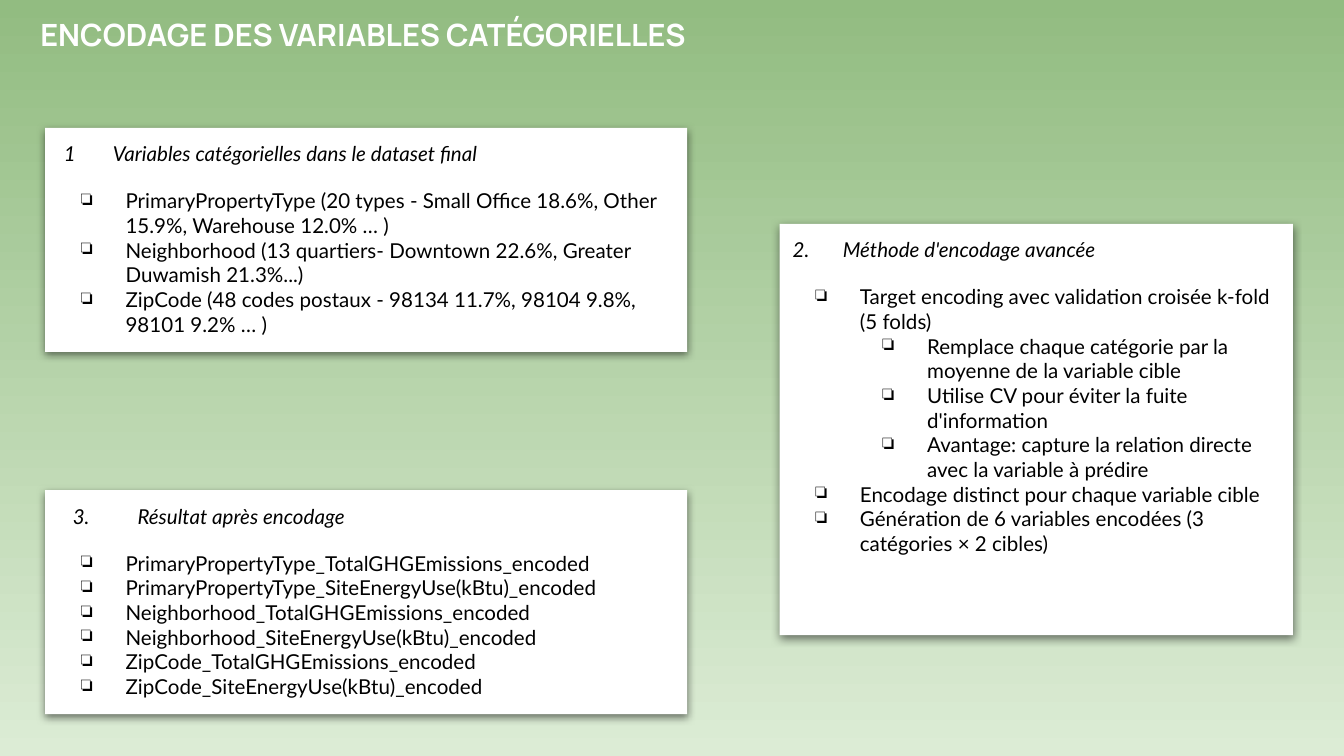
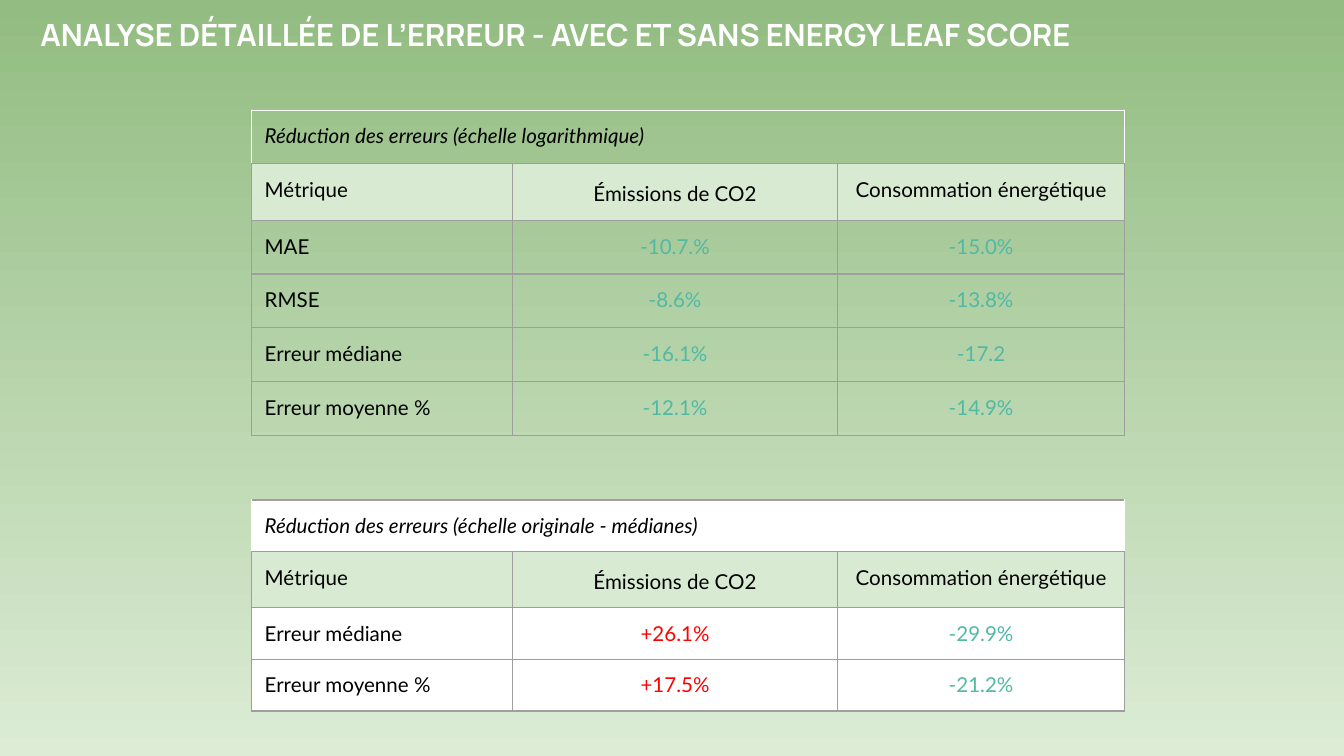
from dataclasses import dataclass

from lxml import etree
from pptx import Presentation
from pptx.dml.color import RGBColor
from pptx.enum.shapes import MSO_SHAPE
from pptx.enum.text import MSO_ANCHOR, MSO_AUTO_SIZE, PP_ALIGN
from pptx.oxml.ns import qn
from pptx.util import Pt

RECT = MSO_SHAPE.RECTANGLE
TOP = MSO_ANCHOR.TOP
NO_FIT, GROW = MSO_AUTO_SIZE.NONE, MSO_AUTO_SIZE.SHAPE_TO_FIT_TEXT
LEFT, CENTER = PP_ALIGN.LEFT, PP_ALIGN.CENTER


@dataclass(frozen=True)
class Theme:
    title_font: str = "Manrope"
    body_font: str = "Lato"
    title_size: float = 16.4
    body_size: float = 11
    white: str = "FFFFFF"
    black: str = "000000"
    sky: str = "92BC81"
    ground: str = "DCECD5"
    header: str = "D9EAD3"
    border: str = "9E9E9E"
    gain: str = "51B9A3"
    loss: str = "FF0000"
    inset: float = 7.2
    line: float = 0.75
    bullet: str = "❏"


def apply(obj, values):
    for name, value in values.items():
        setattr(obj, name, value)


def child(parent, tag, **attrs):
    el = etree.SubElement(parent, qn(tag))
    for name, value in attrs.items():
        el.set(name, str(value))
    return el


def add_shadow(effects):
    shadow = child(effects, "a:outerShdw", blurRad=Pt(4.5), dist=Pt(1.5),
                   dir=90 * 60000, algn="bl", rotWithShape=0)
    color = child(shadow, "a:srgbClr", val="000000")
    child(color, "a:alpha", val=50000)


class Deck:
    def __init__(self, theme, width, height):
        self.theme = theme
        self.prs = Presentation()
        self.prs.slide_width, self.prs.slide_height = Pt(width), Pt(height)
        self.insets = {f"margin_{side}": Pt(theme.inset)
                       for side in ("left", "top", "right", "bottom")}

    def slide(self, title):
        t = self.theme
        self.s = self.prs.slides.add_slide(self.prs.slide_layouts[5])
        fill = self.s.background.fill
        fill.gradient()
        fill.gradient_angle = 90
        for stop, color in zip(fill.gradient_stops, (t.ground, t.sky)):
            stop.color.rgb = RGBColor.from_string(color)
        sp = self.s.shapes.title
        apply(sp, dict(left=Pt(14.4), top=Pt(1.4), width=Pt(688.3), height=Pt(47.5)))
        tf = sp.text_frame
        apply(tf, dict(self.insets, word_wrap=True, auto_size=NO_FIT, vertical_anchor=TOP))
        r = self.text(tf.paragraphs[0], title, t.white, name=t.title_font,
                      size=Pt(t.title_size), bold=True)
        effects = etree.Element(qn("a:effectLst"))
        add_shadow(effects)
        r._r.get_or_add_rPr().find(qn("a:solidFill")).addnext(effects)

    def text(self, p, text, color, align=LEFT, **font):
        t = self.theme
        p.alignment = align
        r = p.add_run()
        r.text = text
        values = dict(name=t.body_font, size=Pt(t.body_size), bold=False, italic=False)
        apply(r.font, {**values, **font})
        r.font.color.rgb = RGBColor.from_string(color)
        return r

    def indent(self, p, margin, hanging):
        pPr = p._p.get_or_add_pPr()
        pPr.set("marL", str(Pt(margin)))
        pPr.set("indent", str(Pt(-hanging)))
        return pPr

    def bullet(self, p, text, level):
        t = self.theme
        self.text(p, text, t.black)
        p.level = level
        pPr = self.indent(p, 36 * (level + 1), 23.8)
        child(child(pPr, "a:buClr"), "a:srgbClr", val=t.black)
        child(pPr, "a:buChar", char=t.bullet)

    def card(self, box, number, heading, tabs, items):
        t = self.theme
        sp = self.s.shapes.add_shape(RECT, *map(Pt, box))
        sp.fill.solid()
        sp.fill.fore_color.rgb = RGBColor.from_string(t.white)
        sp.line.fill.background()
        sp.shadow.inherit = False
        add_shadow(sp._element.spPr.find(qn("a:effectLst")))
        tf = sp.text_frame
        apply(tf, dict(self.insets, word_wrap=True, auto_size=GROW, vertical_anchor=TOP))
        p = tf.paragraphs[0]
        self.text(p, f"{number}\t{heading}", t.black, italic=True)
        start, stop = tabs
        self.indent(p, stop, stop - start)
        for i, (level, item) in enumerate(items):
            p = tf.add_paragraph()
            p.space_before = Pt(0 if i else 12)
            self.bullet(p, item, level)

    def cell(self, cell, fill, borders):
        apply(cell, dict(self.insets, vertical_anchor=TOP))
        if fill:
            cell.fill.solid()
            cell.fill.fore_color.rgb = RGBColor.from_string(fill)
        else:
            cell.fill.background()
        tcPr = cell._tc.get_or_add_tcPr()
        for i, (side, color) in enumerate(zip("LRTB", borders)):
            ln = etree.Element(qn(f"a:ln{side}"), w=str(Pt(self.theme.line)))
            child(child(ln, "a:solidFill"), "a:srgbClr", val=color)
            tcPr.insert(i, ln)

    def table(self, top, row_height, caption, rows, fill, caption_top):
        t = self.theme
        widths = (140.1, 174, 153.9)
        heights = [row_height, row_height + 1.4] + [row_height] * (len(rows) - 1)
        frame = self.s.shapes.add_table(len(heights), len(widths), Pt(134.6), Pt(top),
                                        Pt(sum(widths)), Pt(sum(heights)))
        table = frame.table
        apply(table, dict(first_row=False, horz_banding=False))
        for col, width in zip(table.columns, widths):
            col.width = Pt(width)
        for row, height in zip(table.rows, heights):
            row.height = Pt(height)
        for c in range(len(widths)):
            self.cell(table.cell(0, c), fill, (t.white, t.white, caption_top, t.border))
        table.cell(0, 0).merge(table.cell(0, len(widths) - 1))
        self.text(table.cell(0, 0).text_frame.paragraphs[0], caption, t.black, italic=True)
        for i, row in enumerate(rows, 1):
            for c, value in enumerate(row):
                cell = table.cell(i, c)
                self.cell(cell, t.header if i == 1 else fill, [t.border] * 4)
                color = t.black
                if i > 1 and c:
                    color = t.loss if value.startswith("+") else t.gain
                p = cell.text_frame.paragraphs[0]
                self.text(p, value, color, CENTER if c else LEFT)
                if (i, c) == (1, 1):
                    apply(p, dict(line_spacing=1.15, space_before=Pt(12),
                                  space_after=Pt(12)))


def main():
    theme = Theme()
    deck = Deck(theme, 720, 405)

    deck.slide("ENCODAGE DES VARIABLES CATÉGORIELLES")
    deck.card((24.2, 68.5, 344, 120), "1", "Variables catégorielles dans le dataset final",
              (3, 29.2), [
        (0, "PrimaryPropertyType (20 types - Small Office 18.6%, Other 15.9%, "
            "Warehouse 12.0% … )"),
        (0, "Neighborhood (13 quartiers- Downtown 22.6%, Greater Duwamish 21.3%...)"),
        (0, "ZipCode (48 codes postaux - 98134 11.7%, 98104 9.8%, 98101 9.2% … )"),
    ])
    deck.card((417.6, 120, 275, 220.3), "2.", "Méthode d'encodage avancée", (0, 26.8), [
        (0, "Target encoding avec validation croisée k-fold (5 folds)"),
        (1, "Remplace chaque catégorie par la moyenne de la variable cible"),
        (1, "Utilise CV pour éviter la fuite d'information"),
        (1, "Avantage: capture la relation directe avec la variable à prédire"),
        (0, "Encodage distinct pour chaque variable cible"),
        (0, "Génération de 6 variables encodées (3 catégories × 2 cibles)"),
    ])
    deck.card((24.2, 262.6, 344, 120), "3.", "Résultat après encodage", (7.7, 42.4), [
        (0, f"{variable}_{target}_encoded")
        for variable in ("PrimaryPropertyType", "Neighborhood", "ZipCode")
        for target in ("TotalGHGEmissions", "SiteEnergyUse(kBtu)")
    ])

    deck.slide("ANALYSE DÉTAILLÉE DE L’ERREUR - AVEC ET SANS ENERGY LEAF SCORE")
    header = ("Métrique", "Émissions de CO2", "Consommation énergétique")
    deck.table(59, 28.8, "Réduction des erreurs (échelle logarithmique)", [
        header,
        ("MAE", "-10.7.%", "-15.0%"),
        ("RMSE", "-8.6%", "-13.8%"),
        ("Erreur médiane", "-16.1%", "-17.2"),
        ("Erreur moyenne %", "-12.1%", "-14.9%"),
    ], None, theme.white)
    deck.table(267.9, 27.7, "Réduction des erreurs (échelle originale - médianes)", [
        header,
        ("Erreur médiane", "+26.1%", "-29.9%"),
        ("Erreur moyenne %", "+17.5%", "-21.2%"),
    ], theme.white, theme.border)

    deck.prs.save("out.pptx")


if __name__ == "__main__":
    main()
